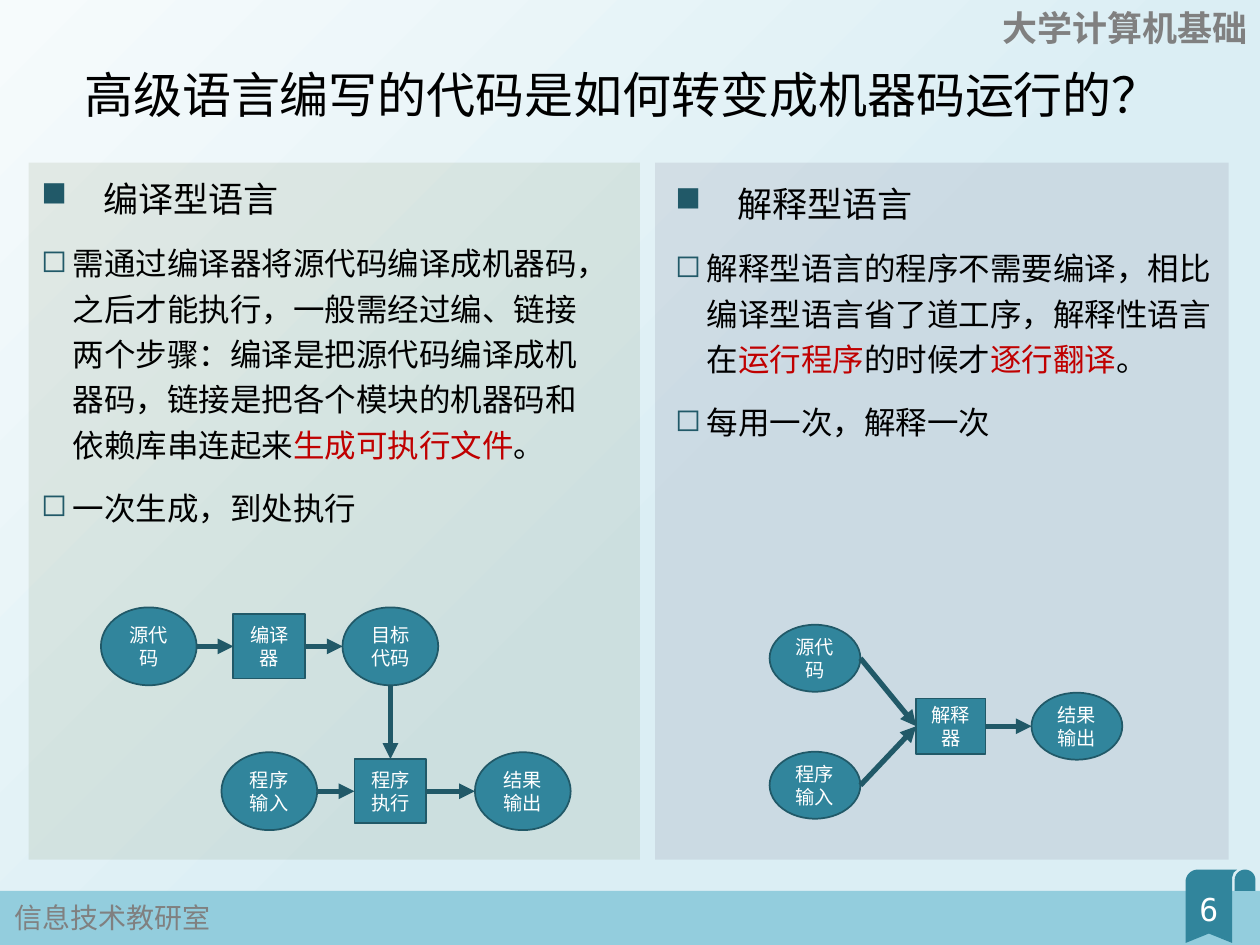
import math

import lxml.etree
import pptx
import pptx.dml.color
import pptx.enum.shapes
import pptx.enum.text
import pptx.oxml
import pptx.oxml.ns
import pptx.util

Cm = pptx.util.Cm
Pt = pptx.util.Pt
RGBColor = pptx.dml.color.RGBColor
SHAPE = pptx.enum.shapes.MSO_SHAPE
ALIGN = pptx.enum.text.PP_ALIGN
qn = pptx.oxml.ns.qn

BLACK = RGBColor(0x00, 0x00, 0x00)
WHITE = RGBColor(0xFF, 0xFF, 0xFF)
GRAY = RGBColor(0x80, 0x80, 0x80)
RED = RGBColor(0xC0, 0x00, 0x00)
TEAL = RGBColor(0x31, 0x85, 0x9C)
DARK_TEAL = RGBColor(0x21, 0x59, 0x68)
SKY = RGBColor(0x93, 0xCD, 0xDD)
PALE = RGBColor(0xF6, 0xFB, 0xFC)
PALE_BLUE = RGBColor(0xDB, 0xEE, 0xF4)
GREEN = RGBColor(0x4F, 0x62, 0x28)
PURPLE = RGBColor(0x40, 0x31, 0x52)

MONO = "DejaVu Sans Mono"
SANS = "Noto Sans CJK JP"


def set_font(font, size, color, name=MONO, bold=False):
    font.size = Pt(size)
    font.name = name
    font.bold = bold
    font.color.rgb = color


def paint(shape, fill, line=None):
    shape.shadow.inherit = False
    shape.fill.solid()
    shape.fill.fore_color.rgb = fill
    if line is None:
        shape.line.fill.background()
    else:
        shape.line.color.rgb = line
        shape.line.width = Pt(1)


def add_panel(page, left, top, width, height, color, opacity=100):
    panel = page.shapes.add_shape(
        SHAPE.RECTANGLE, Cm(left), Cm(top), Cm(width), Cm(height))
    paint(panel, color)
    if opacity < 100:
        tint = panel._element.spPr.find(qn("a:solidFill"))[0]
        lxml.etree.SubElement(tint, qn("a:alpha"), val=str(opacity * 1000))


def add_text_box(page, left, top, width, height, wrap=True):
    box = page.shapes.add_textbox(Cm(left), Cm(top), Cm(width), Cm(height))
    box.text_frame.word_wrap = wrap
    return box.text_frame


def add_label(page, place, text, size, color, align=ALIGN.LEFT, name=MONO,
              bold=False, wrap=True, spacing=1.0):
    para = add_text_box(page, *place, wrap=wrap).paragraphs[0]
    para.text = text
    para.alignment = align
    para.line_spacing = spacing
    set_font(para.font, size, color, name, bold)


def add_bullet(para, mark, indent):
    props = para._p.get_or_add_pPr()
    props.set("marL", str(Cm(indent)))
    props.set("indent", str(-Cm(indent)))
    color = lxml.etree.Element(qn("a:buClr"))
    lxml.etree.SubElement(color, qn("a:srgbClr"), val=str(DARK_TEAL))
    bullet = lxml.etree.Element(qn("a:buChar"), char=mark)
    # Bullet settings stand before the default run properties
    defaults = props.find(qn("a:defRPr"))
    defaults.addprevious(color)
    defaults.addprevious(bullet)


def add_body(page, place, heading, points):
    """Each point is a list of spans; every second span is red."""
    frame = add_text_box(page, *place)
    rows = [([heading], 20, "■", 1.25)]
    rows += [(spans, 18, "◻", 0.64) for spans in points]
    for number, (spans, size, mark, indent) in enumerate(rows):
        para = frame.add_paragraph() if number else frame.paragraphs[0]
        para.line_spacing = 1.2
        para.space_before = Pt(10)
        set_font(para.font, size, BLACK)
        add_bullet(para, mark, indent)
        for position, text in enumerate(spans):
            span = para.add_run()
            span.text = text
            if position % 2:
                span.font.color.rgb = RED


def add_node(group, kind, center, size, lines):
    (x, y), (width, height) = center, size
    node = group.shapes.add_shape(
        kind, Cm(x - width / 2), Cm(y - height / 2), Cm(width), Cm(height))
    paint(node, TEAL, DARK_TEAL)
    frame = node.text_frame
    frame.word_wrap = True
    frame.vertical_anchor = pptx.enum.text.MSO_ANCHOR.MIDDLE
    frame.text = lines
    for para in frame.paragraphs:
        para.alignment = ALIGN.CENTER
        set_font(para.font, 11, WHITE)
    return node


def side(node, name):
    across, down = {"left": (0, 0.5), "right": (1, 0.5),
                    "top": (0.5, 0), "bottom": (0.5, 1)}[name]
    return (int(node.left + across * node.width),
            int(node.top + down * node.height))


def add_arrow(group, start, end, leave="right", enter="left"):
    arrow = group.shapes.add_connector(
        pptx.enum.shapes.MSO_CONNECTOR.STRAIGHT,
        *side(start, leave), *side(end, enter))
    arrow.line.color.rgb = DARK_TEAL
    arrow.line.width = Pt(3)
    lxml.etree.SubElement(arrow.line._get_or_add_ln(), qn("a:tailEnd"),
                          type="triangle")
    lxml.etree.SubElement(arrow._element.spPr, qn("a:effectLst"))


def add_compiler_diagram(page):
    group = page.shapes.add_group_shape()
    oval, block = (1.93, 1.57), (1.45, 1.3)
    upper, lower = 13.03, 15.95
    source = add_node(group, SHAPE.OVAL, (3, upper), oval, "源代码")
    target = add_node(group, SHAPE.OVAL, (7.87, upper), oval, "目标\n代码")
    result = add_node(group, SHAPE.OVAL, (10.54, lower), oval, "结果\n输出")
    entry = add_node(group, SHAPE.OVAL, (5.43, lower), oval, "程序\n输入")
    compiler = add_node(group, SHAPE.RECTANGLE, (5.43, upper), block, "编译器")
    run = add_node(group, SHAPE.RECTANGLE, (7.87, lower), block, "程序\n执行")
    for start, end in ((source, compiler), (compiler, target),
                       (entry, run), (run, result)):
        add_arrow(group, start, end)
    add_arrow(group, target, run, "bottom", "top")


def add_interpreter_diagram(page):
    group = page.shapes.add_group_shape()
    oval = (1.83, 1.35)
    source = add_node(group, SHAPE.OVAL, (16.43, 13.27), oval, "源代码")
    result = add_node(group, SHAPE.OVAL, (21.71, 14.64), oval, "结果\n输出")
    entry = add_node(group, SHAPE.OVAL, (16.43, 15.83), oval, "程序\n输入")
    interpreter = add_node(group, SHAPE.RECTANGLE, (19.17, 14.64),
                           (1.4, 1.12), "解释器")
    for start, end in ((source, interpreter), (entry, interpreter),
                       (interpreter, result)):
        add_arrow(group, start, end)


def arc(x, y, radius, first, last):
    angles = [math.radians(first + (last - first) * step / 12)
              for step in range(13)]
    return [(x + radius * math.cos(a), y + radius * math.sin(a))
            for a in angles]


def add_ribbon(page):
    flag = arc(24.15, 17.78, 0.25, 180, 270) + [
        (24.94, 17.53), (24.87, 17.59), (24.84, 17.68),
        (24.84, 19.01), (24.37, 18.82), (23.9, 19.01)]
    roll = arc(25.1, 17.74, 0.21, 180, 360) + [(25.31, 17.96), (24.89, 17.96)]
    outlines = [[(Cm(x), Cm(y)) for x, y in part] for part in (flag, roll)]
    builder = page.shapes.build_freeform(*outlines[0][0])
    builder.add_line_segments(outlines[0][1:], close=True)
    builder.move_to(*outlines[1][0])
    builder.add_line_segments(outlines[1][1:], close=True)
    paint(builder.convert_to_shape(), TEAL)


def main():
    deck = pptx.Presentation()
    deck.slide_width, deck.slide_height = Cm(25.4), Cm(19.05)
    page = deck.slides.add_slide(deck.slide_layouts[6])

    # Background
    fill = page.background.fill
    fill.gradient()
    fill.gradient_angle = 315
    for stop, place, color in zip(fill.gradient_stops, (0, 0.56),
                                  (PALE, PALE_BLUE)):
        stop.position = place
        stop.color.rgb = color

    # Footer, header and page number
    add_panel(page, 0, 17.96, 25.4, 1.09, SKY)
    add_ribbon(page)
    add_label(page, (0.05, 18.03, 4.5, 0.94), "信息技术教研室", 16, GRAY,
              name=SANS, wrap=False)
    add_label(page, (19.89, 0, 5.51, 1.12), "大学计算机基础", 20, GRAY,
              ALIGN.RIGHT, SANS, bold=True)
    add_label(page, (23.47, 17.81, 1.8, 1.02), "6", 18, WHITE, ALIGN.CENTER)

    # Title
    add_label(page, (1.45, 0.94, 22.45, 1.7),
              "高级语言编写的代码是如何转变成机器码运行的？", 28, BLACK,
              wrap=False, spacing=1.2)

    # Compiled languages
    add_panel(page, 0.58, 3.28, 12.32, 14.05, GREEN, 10)
    add_body(page, (0.58, 3.28, 11.4, 7.72), "编译型语言", [
        ["需通过编译器将源代码编译成机器码，之后才能执行，一般需经过编、链接"
         "两个步骤：编译是把源代码编译成机器码，链接是把各个模块的机器码和"
         "依赖库串连起来", "生成可执行文件", "。"],
        ["一次生成，到处执行"]])
    add_compiler_diagram(page)

    # Interpreted languages
    add_panel(page, 13.21, 3.28, 11.56, 14.05, PURPLE, 10)
    add_body(page, (13.36, 3.38, 11.4, 7.14), "解释型语言", [
        ["解释型语言的程序不需要编译，相比编译型语言省了道工序，解释性语言在",
         "运行程序", "的时候才", "逐行翻译", "。"],
        ["每用一次，解释一次"]])
    add_interpreter_diagram(page)

    deck.save("out.pptx")


main()
